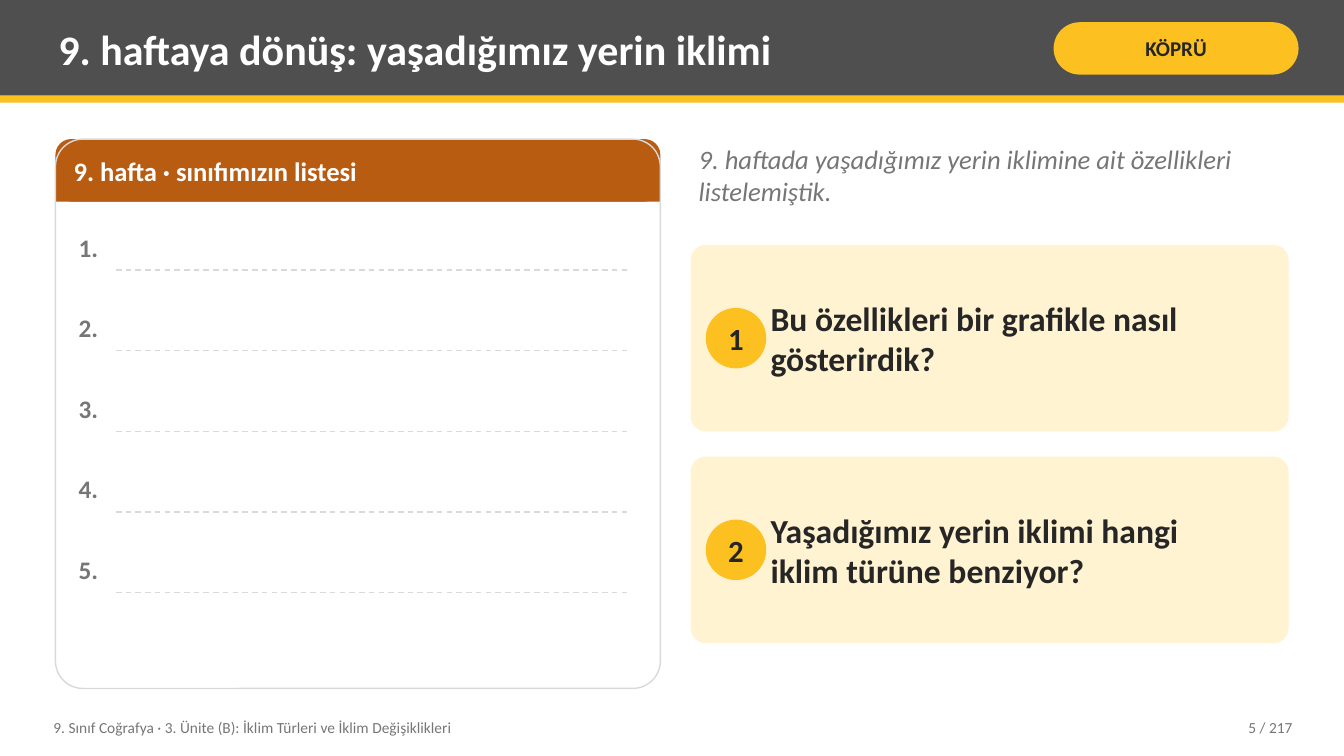
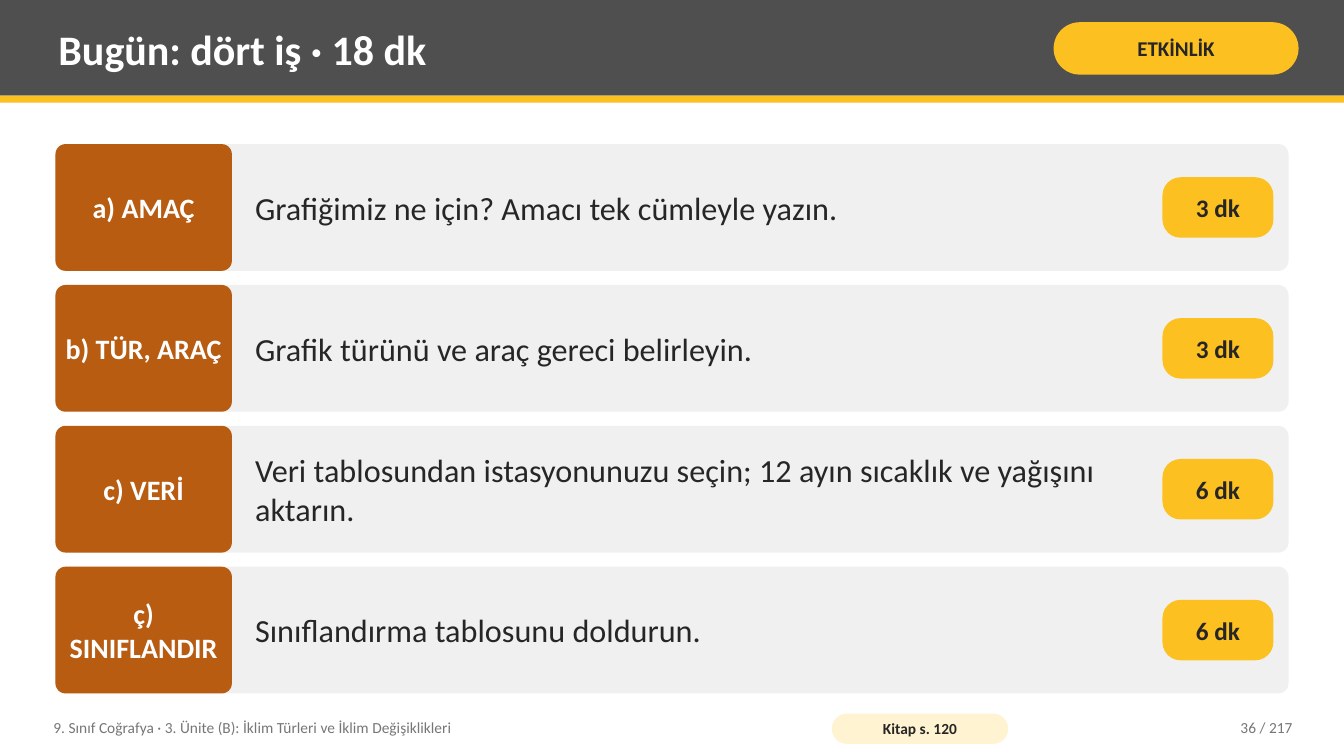
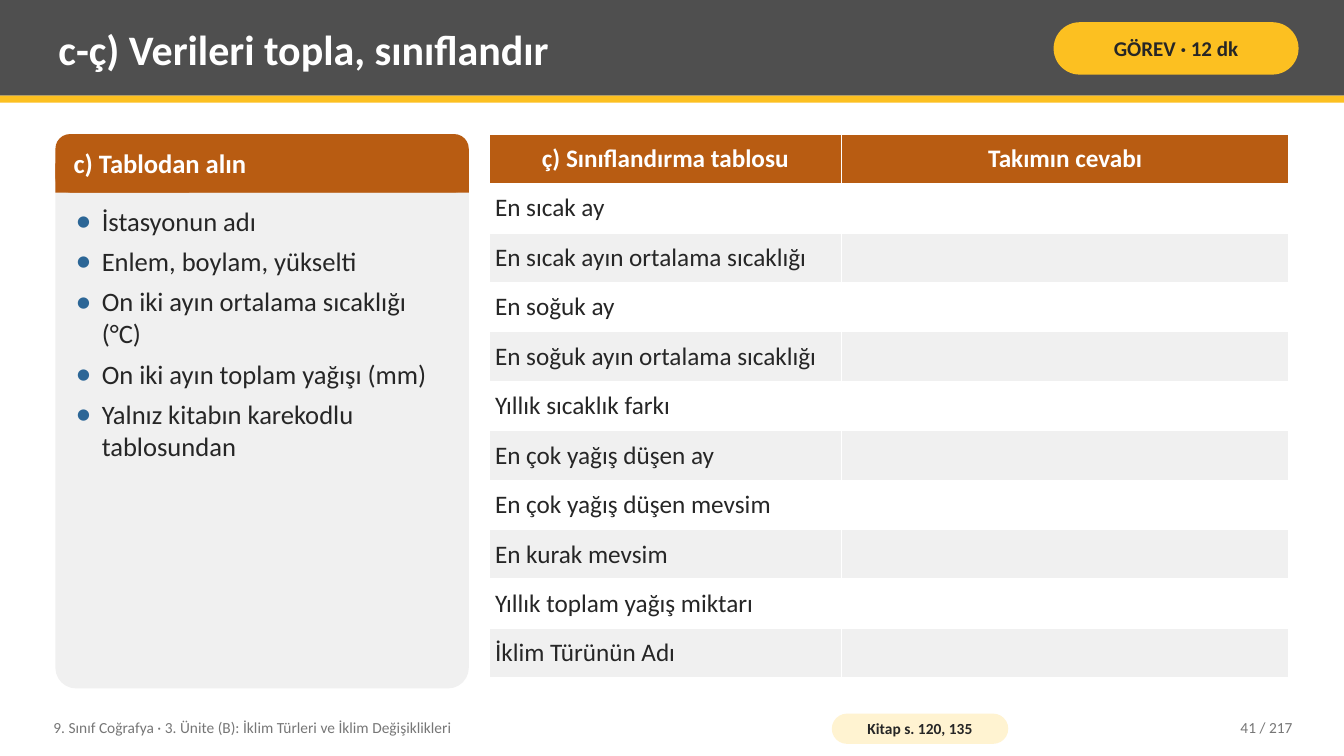
import pptx
import pptx.util
import pptx.dml.color
import pptx.enum.dml
import pptx.enum.shapes
import pptx.enum.text
import pptx.oxml
from lxml import etree

Inches = pptx.util.Inches
Pt = pptx.util.Pt
RGB = pptx.dml.color.RGBColor
SHAPE = pptx.enum.shapes.MSO_SHAPE
ALIGN = pptx.enum.text.PP_ALIGN
ANCHOR = pptx.enum.text.MSO_ANCHOR

WHITE = RGB(0xFF, 0xFF, 0xFF)
DARK = RGB(0x4F, 0x4F, 0x4F)
GOLD = RGB(0xFC, 0xC0, 0x21)
CREAM = RGB(0xFF, 0xF3, 0xD1)
RUST = RGB(0xB8, 0x5C, 0x12)
INK = RGB(0x26, 0x26, 0x26)
GRAY = RGB(0x76, 0x76, 0x76)
PALE = RGB(0xF0, 0xF0, 0xF0)
RULE = RGB(0xD9, 0xD9, 0xD9)
BLUE = RGB(0x2C, 0x66, 0x96)

FONT = "Calibri"
LEFT = 0.55
WIDE = 12.23
TOTAL = 217
COURSE = "9. Sınıf Coğrafya · 3. Ünite (B): İklim Türleri ve İklim Değişiklikleri"


def lengths(box):
    return [Inches(v) for v in box]


def style(par, size, color, bold=False, italic=False, align=ALIGN.LEFT):
    par.alignment = align
    font = par.font
    font.name, font.size = FONT, Pt(size)
    font.bold, font.italic = bold, italic
    font.color.rgb = color


def frame(shape, inset, anchor):
    """Set wrapping, anchor and (side, end) insets of a shape's text."""
    text = shape.text_frame
    text.word_wrap = True
    text.vertical_anchor = anchor
    text.margin_left = text.margin_right = Inches(inset[0])
    text.margin_top = text.margin_bottom = Inches(inset[1])
    return text


def label(slide, box, words, size, color, anchor=ANCHOR.MIDDLE, **look):
    text = frame(slide.shapes.add_textbox(*lengths(box)), (0.08, 0.04), anchor)
    text.text = words
    style(text.paragraphs[0], size, color, **look)


def block(slide, kind, box, fill=None, round=None, edge=None):
    shape = slide.shapes.add_shape(kind, *lengths(box))
    shape.shadow.inherit = False
    if round is not None:
        shape.adjustments[0] = round
    if fill is None:
        shape.fill.background()
    else:
        shape.fill.solid()
        shape.fill.fore_color.rgb = fill
    if edge is None:
        shape.line.fill.background()
    else:
        shape.line.color.rgb = edge
        shape.line.width = Pt(1)
    return shape


def badge(slide, box, words, size, fill, round, inset, color=INK,
          kind=SHAPE.ROUNDED_RECTANGLE, align=ALIGN.CENTER):
    """A filled shape with bold text in it."""
    text = frame(block(slide, kind, box, fill, round), inset, ANCHOR.MIDDLE)
    text.text = words
    style(text.paragraphs[0], size, color, bold=True, align=align)


def dashes(slide, left, right, y):
    line = slide.shapes.add_connector(
        pptx.enum.shapes.MSO_CONNECTOR.STRAIGHT, *lengths((left, y, right, y)))
    line.line.color.rgb = RULE
    line.line.width = Pt(1)
    line.line.dash_style = pptx.enum.dml.MSO_LINE.DASH
    etree.SubElement(line._element.spPr, pptx.oxml.ns.qn("a:effectLst"))


def base(deck, title, tag, page, book=None):
    """A new slide with title band, tag and footer."""
    slide = deck.slides.add_slide(deck.slide_layouts[6])
    block(slide, SHAPE.RECTANGLE, (0, 0, 13.33, 0.95), DARK)
    block(slide, SHAPE.RECTANGLE, (0, 0.95, 13.33, 0.07), GOLD)
    label(slide, (0.5, 0.07, 9.75, 0.82), title, 30, WHITE, bold=True)
    badge(slide, (10.45, 0.22, 2.43, 0.52), tag, 15, GOLD, 0.5, (0.05, 0.02))
    label(slide, (0.45, 7.04, 7.6, 0.36), COURSE, 11, GRAY)
    if book:
        badge(slide, (8.25, 7.08, 1.75, 0.3), book, 11, CREAM, 0.5, (0.04, 0))
    label(slide, (11.3, 7.04, 1.6, 0.36), f"{page} / {TOTAL}", 11, GRAY,
          align=ALIGN.RIGHT)
    return slide


def card(slide, box, head, title, fill, edge=None):
    """A rounded panel with a title strip of height head."""
    x, y, w, h = box
    kind = SHAPE.ROUNDED_RECTANGLE
    block(slide, kind, box, fill, 0.05)
    block(slide, kind, (x, y, w, head), RUST, 0.25)
    block(slide, SHAPE.RECTANGLE, (x, y + head / 2, w, head / 2), RUST)
    label(slide, (x + 0.1, y, w - 0.2, head), title, 19, WHITE, bold=True)
    if edge is not None:
        block(slide, kind, box, None, 0.05, edge)


def blanks(slide, box, count, pitch):
    """Numbered dashed lines to write on."""
    x, y, w, _ = box
    for i in range(count):
        top = y + i * pitch
        label(slide, (x + 0.15, top, 0.4, 0.4), f"{i + 1}.", 18, GRAY,
              anchor=ANCHOR.TOP, bold=True)
        dashes(slide, x + 0.6, x + w - 0.3, top + 0.42)


def query(slide, box, number, words):
    x, y, _, h = box
    badge(slide, box, words, 24, CREAM, 0.08, (0.75, 0.08), align=ALIGN.LEFT)
    badge(slide, (x + 0.15, y + (h - 0.6) / 2, 0.6, 0.6), str(number), 22,
          GOLD, None, (0, 0), kind=SHAPE.OVAL)


def step(slide, box, name, task, time):
    x, y, w, h = box
    block(slide, SHAPE.ROUNDED_RECTANGLE, box, PALE, 0.08)
    badge(slide, (x, y, 1.75, h), name, 20, RUST, 0.08, (0.06, 0.08), WHITE)
    label(slide, (x + 1.9, y, w - 3.35, h), task, 23, INK)
    badge(slide, (x + w - 1.25, y + (h - 0.6) / 2, 1.1, 0.6), time, 18,
          GOLD, 0.3, (0.03, 0))


def bullets(slide, box, items):
    shape = slide.shapes.add_textbox(*lengths(box))
    text = frame(shape, (0.08, 0.04), ANCHOR.TOP)
    text.text = "\n".join(items)
    qn = pptx.oxml.ns.qn
    for par in text.paragraphs:
        props = par._p.get_or_add_pPr()
        props.set("marL", str(Inches(0.26)))
        props.set("indent", str(-Inches(0.26)))
        tint = etree.SubElement(props, qn("a:buClr"))
        etree.SubElement(tint, qn("a:srgbClr")).set("val", str(BLUE))
        etree.SubElement(props, qn("a:buSzPct")).set("val", "120000")
        etree.SubElement(props, qn("a:buFont")).set("typeface", FONT)
        etree.SubElement(props, qn("a:buChar")).set("char", "•")
        style(par, 19, INK)
        par.space_after = Pt(6)


def border(cell):
    props = cell._tc.get_or_add_tcPr()
    for i, side in enumerate(("lnL", "lnR", "lnT", "lnB")):
        props.insert(i, pptx.oxml.parse_xml(
            f'<a:{side} {pptx.oxml.ns.nsdecls("a")} w="{Pt(0.96)}"><a:solidFill>'
            f'<a:srgbClr val="{WHITE}"/></a:solidFill></a:{side}>'))


def grid(slide, box, widths, heads, names):
    """A table with a head row, row names and empty answer cells."""
    rows = [heads] + [(name, "") for name in names]
    table = slide.shapes.add_table(len(rows), len(heads), *lengths(box)).table
    table.horz_banding = False
    for col, width in zip(table.columns, widths):
        col.width = Inches(width)
    for r, row in enumerate(rows):
        for c, words in enumerate(row):
            cell = table.cell(r, c)
            cell.text = words
            cell.vertical_anchor = ANCHOR.MIDDLE
            cell.margin_left = cell.margin_right = Inches(0.06)
            cell.margin_top = cell.margin_bottom = Inches(0.05)
            cell.fill.solid()
            par = cell.text_frame.paragraphs[0]
            if r == 0:
                cell.fill.fore_color.rgb = RUST
                style(par, 18, WHITE, bold=True, align=ALIGN.CENTER)
            else:
                cell.fill.fore_color.rgb = WHITE if r % 2 else PALE
                style(par, 18, INK)
            border(cell)


def bridge(deck):
    slide = base(deck, "9. haftaya dönüş: yaşadığımız yerin iklimi", "KÖPRÜ", 5)
    card(slide, (LEFT, 1.38, 6, 5.45), 0.62, "9. hafta · sınıfımızın listesi",
         WHITE, RULE)
    blanks(slide, (LEFT, 2.26, 6, 4), 5, 0.8)
    label(slide, (6.85, 1.38, 5.93, 0.9),
          "9. haftada yaşadığımız yerin iklimine ait özellikleri listelemiştik.",
          19, GRAY, anchor=ANCHOR.TOP, italic=True)
    asks = ("Bu özellikleri bir grafikle nasıl gösterirdik?",
            "Yaşadığımız yerin iklimi hangi iklim türüne benziyor?")
    for i, words in enumerate(asks):
        query(slide, (6.85, 2.43 + i * 2.1, 5.93, 1.85), i + 1, words)


def tasks(deck):
    slide = base(deck, "Bugün: dört iş · 18 dk", "ETKİNLİK", 36, "Kitap s. 120")
    steps = (
        ("a) AMAÇ", "Grafiğimiz ne için? Amacı tek cümleyle yazın.", "3 dk"),
        ("b) TÜR, ARAÇ", "Grafik türünü ve araç gereci belirleyin.", "3 dk"),
        ("c) VERİ", "Veri tablosundan istasyonunuzu seçin; "
         "12 ayın sıcaklık ve yağışını aktarın.", "6 dk"),
        ("ç) SINIFLANDIR", "Sınıflandırma tablosunu doldurun.", "6 dk"),
    )
    gap = 0.14
    high = (5.45 - gap * (len(steps) - 1)) / len(steps)
    for i, parts in enumerate(steps):
        step(slide, (LEFT, 1.43 + i * (high + gap), WIDE, high), *parts)


def sorting(deck):
    slide = base(deck, "c-ç) Verileri topla, sınıflandır", "GÖREV · 12 dk", 41,
                 "Kitap s. 120, 135")
    card(slide, (LEFT, 1.33, 4.1, 5.5), 0.58, "c) Tablodan alın", PALE)
    bullets(slide, (0.67, 1.99, 3.86, 4.76), (
        "İstasyonun adı",
        "Enlem, boylam, yükselti",
        "On iki ayın ortalama sıcaklığı (°C)",
        "On iki ayın toplam yağışı (mm)",
        "Yalnız kitabın karekodlu tablosundan",
    ))
    grid(slide, (4.85, 1.33, 7.93, 5.4), (3.5, 4.43),
         ("ç) Sınıflandırma tablosu", "Takımın cevabı"), (
             "En sıcak ay",
             "En sıcak ayın ortalama sıcaklığı",
             "En soğuk ay",
             "En soğuk ayın ortalama sıcaklığı",
             "Yıllık sıcaklık farkı",
             "En çok yağış düşen ay",
             "En çok yağış düşen mevsim",
             "En kurak mevsim",
             "Yıllık toplam yağış miktarı",
             "İklim Türünün Adı",
         ))


def main():
    deck = pptx.Presentation()
    deck.slide_width, deck.slide_height = Inches(13.33), Inches(7.5)
    bridge(deck)
    tasks(deck)
    sorting(deck)
    deck.save("out.pptx")


if __name__ == "__main__":
    main()
